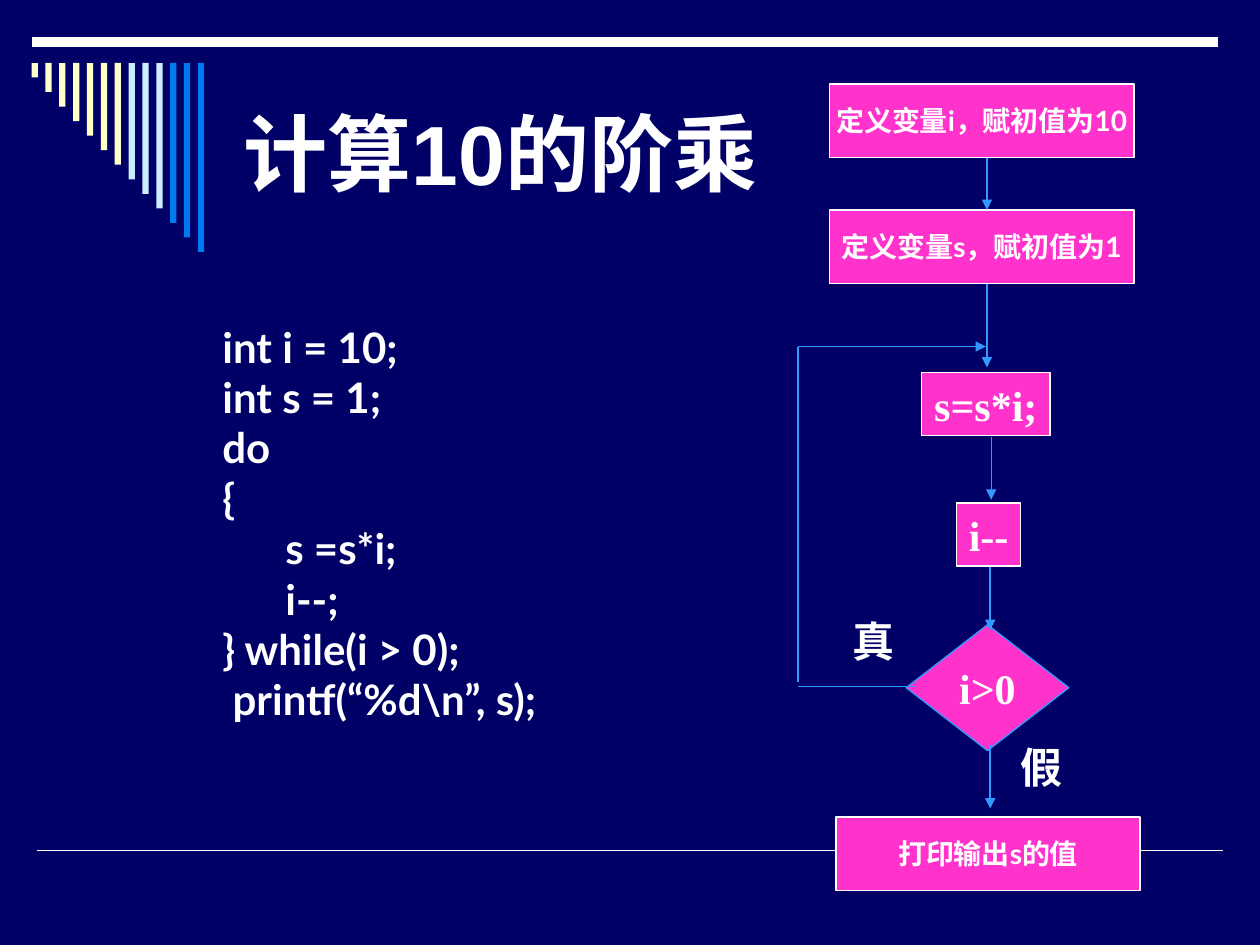
"""Build a slide that explains the factorial of 10 with code and a flowchart."""
from typing import NamedTuple

from lxml import etree
from pptx import Presentation
from pptx.dml.color import RGBColor
from pptx.enum.shapes import MSO_CONNECTOR, MSO_SHAPE
from pptx.enum.text import MSO_ANCHOR, PP_ALIGN
from pptx.oxml.ns import qn
from pptx.util import Inches, Pt

RECTANGLE = MSO_SHAPE.RECTANGLE
PROCESS = MSO_SHAPE.FLOWCHART_PROCESS
DECISION = MSO_SHAPE.FLOWCHART_DECISION
STRAIGHT = MSO_CONNECTOR.STRAIGHT
MIDDLE, TOP = MSO_ANCHOR.MIDDLE, MSO_ANCHOR.TOP
CENTER, LEFT = PP_ALIGN.CENTER, PP_ALIGN.LEFT

COLUMNS, ROWS = 120, 90
WIDTH, HEIGHT = Inches(10), Inches(7.5)
NAVY, WHITE, PINK, BLUE = "000066", "FFFFFF", "FF33CC", "3399FF"
STRIPES = ["FFFFCC"] * 7 + ["CCECFF"] * 3 + ["0078F0"] * 3
SERIF, SANS = "Times New Roman", "Lato"


class Area(NamedTuple):
    """A rectangle in grid columns and rows."""
    column: float
    row: float
    columns: float
    rows: float


class Step(NamedTuple):
    """A filled flowchart step."""
    text: str
    area: Area
    kind: int = PROCESS
    font: str = SANS
    size: int = 16
    outline: str = WHITE
    weight: float = 1


class Line(NamedTuple):
    """A straight line between two grid points."""
    start: tuple
    end: tuple
    arrow: bool = True
    color: str = BLUE
    weight: float = 0.75


STEPS = [
    Step("定义变量i，赋初值为10", Area(79, 8, 29, 7)),
    Step("定义变量s，赋初值为1", Area(79, 20, 29, 7)),
    Step("s=s*i;", Area(87.8, 35.5, 12.2, 6), RECTANGLE, SERIF, 24, WHITE, 0.75),
    Step("i--", Area(91.1, 47.9, 6.1, 6), RECTANGLE, SERIF, 24, WHITE, 0.75),
    Step("i>0", Area(86.3, 59.5, 15.5, 12), DECISION, SERIF, 24, BLUE, 0.75),
    Step("打印输出s的值", Area(79.6, 77.8, 29, 7)),
]
BRANCHES = {"真": Area(80, 58, 6.4, 6), "假": Area(96, 70, 6.4, 6)}
RULES = [
    Line((3.5, 81), (116.5, 81), False, WHITE, 1),
    Line((3, 4), (116, 4), False, WHITE, 6),
]
FLOW = [
    Line((94, 15), (94, 20)),
    Line((94, 27), (94, 35)),
    Line((94.4, 41.6), (94.4, 47.6)),
    Line((94.3, 54), (94.3, 60)),
    Line((94.3, 71), (94.3, 77)),
    Line((87.2, 65.4), (76, 65.4), False),
    Line((76, 65), (76, 33), False),
    Line((76, 33), (93.9, 33)),
]
CODE = """int i = 10;
int s = 1;
do
{
\ts =s*i;
\ti--;
} while(i > 0);
 printf(“%d\\n”, s);"""


def paint(value: str) -> RGBColor:
    """Turn a hex string into a colour."""
    return RGBColor.from_string(value)


def across(columns: float) -> int:
    """Turn grid columns into a length."""
    return round(WIDTH * columns / COLUMNS)


def down(rows: float) -> int:
    """Turn grid rows into a length."""
    return round(HEIGHT * rows / ROWS)


def place(area: Area) -> tuple:
    """Give left, top, width and height of a grid area."""
    return (across(area.column), down(area.row),
            across(area.columns), down(area.rows))


def write(box, text: str, *, font: str = SERIF, size: int = 24,
          align=CENTER, anchor=MIDDLE, wrap: bool = False) -> None:
    """Fill a box with bold white text, one paragraph a line."""
    frame = box.text_frame
    frame.text = text
    frame.word_wrap = wrap
    frame.vertical_anchor = anchor
    for para in frame.paragraphs:
        para.alignment = align
        for span in para.runs:
            span.font.name, span.font.size, span.font.bold = font, Pt(size), True
            span.font.color.rgb = paint(WHITE)


def draw_shape(page, kind: int, area: Area, fill: str):
    """Add a flat filled shape without an outline."""
    shape = page.shapes.add_shape(kind, *place(area))
    shape.shadow.inherit = False
    shape.fill.solid()
    shape.fill.fore_color.rgb = paint(fill)
    shape.line.fill.background()
    return shape


def draw_step(page, step: Step) -> None:
    """Add an outlined flowchart step with its text."""
    shape = draw_shape(page, step.kind, step.area, PINK)
    shape.line.color.rgb = paint(step.outline)
    shape.line.width = Pt(step.weight)
    write(shape, step.text, font=step.font, size=step.size)


def draw_line(page, line: Line) -> None:
    """Add a line, with an arrowhead at its end if wanted."""
    (x1, y1), (x2, y2) = line.start, line.end
    connector = page.shapes.add_connector(
        STRAIGHT, across(x1), down(y1), across(x2), down(y2))
    connector.line.color.rgb = paint(line.color)
    connector.line.width = Pt(line.weight)
    if line.arrow:
        etree.SubElement(connector.line._get_or_add_ln(), qn("a:tailEnd"),
                         type="triangle")
    etree.SubElement(connector._element.spPr, qn("a:effectLst"))


def draw_text(page, text: str, area: Area, **style) -> None:
    """Add a text box."""
    write(page.shapes.add_textbox(*place(area)), text, **style)


def main() -> None:
    """Build and save the slide."""
    deck = Presentation()
    deck.slide_width, deck.slide_height = WIDTH, HEIGHT
    page = deck.slides.add_slide(deck.slide_layouts[5])
    page.background.fill.solid()
    page.background.fill.fore_color.rgb = paint(NAVY)

    for rule in RULES:
        draw_line(page, rule)
    for index, color in enumerate(STRIPES):
        rows = 18 * (index + 1) / len(STRIPES)
        draw_shape(page, RECTANGLE, Area(3 + 1.32 * index, 6, 0.6, rows), color)

    title = page.shapes.title
    title.left, title.top, title.width, title.height = place(Area(22, 6, 92, 17))
    write(title, "计算10的阶乘", font="Arial", size=48, align=LEFT, wrap=True)
    draw_text(page, CODE, Area(20, 30, 36.8, 39.6),
              font=SANS, align=LEFT, anchor=TOP)

    for step in STEPS:
        draw_step(page, step)
    for line in FLOW:
        draw_line(page, line)
    for text, area in BRANCHES.items():
        draw_text(page, text, area)
    deck.save("out.pptx")


if __name__ == "__main__":
    main()
